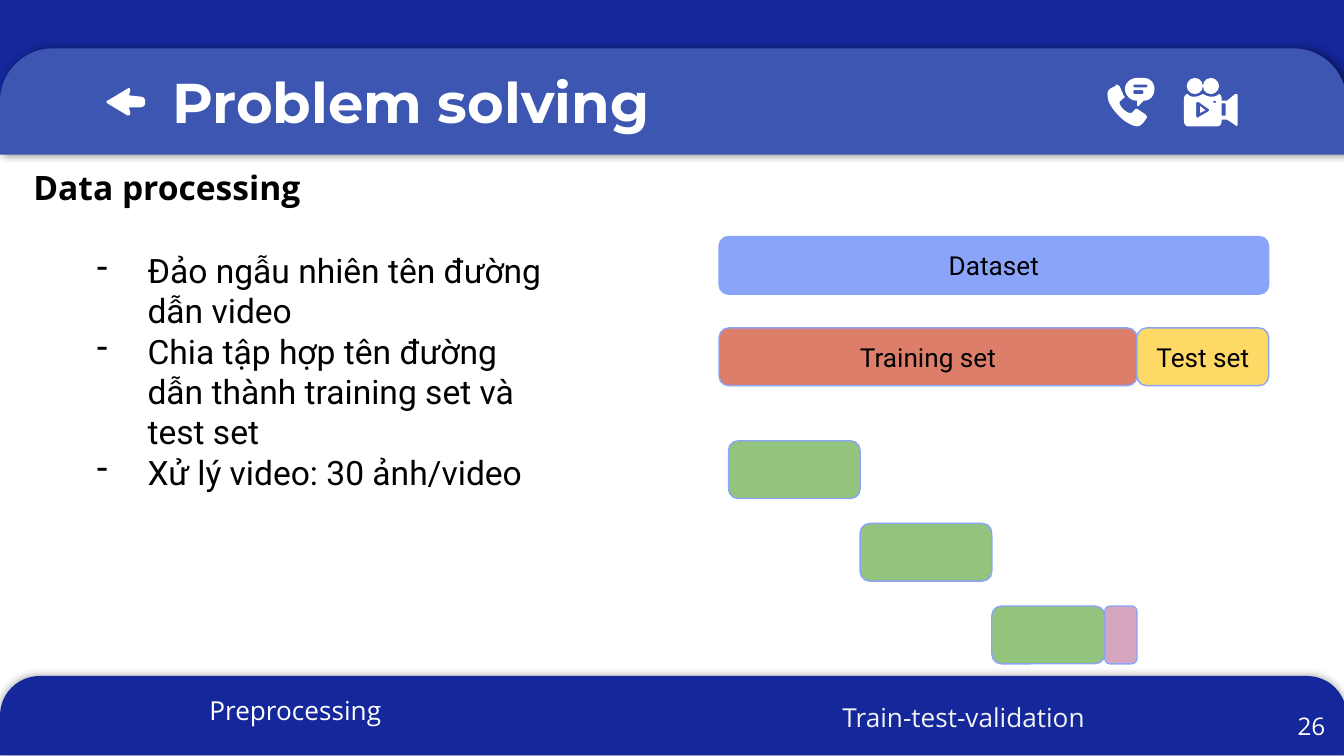
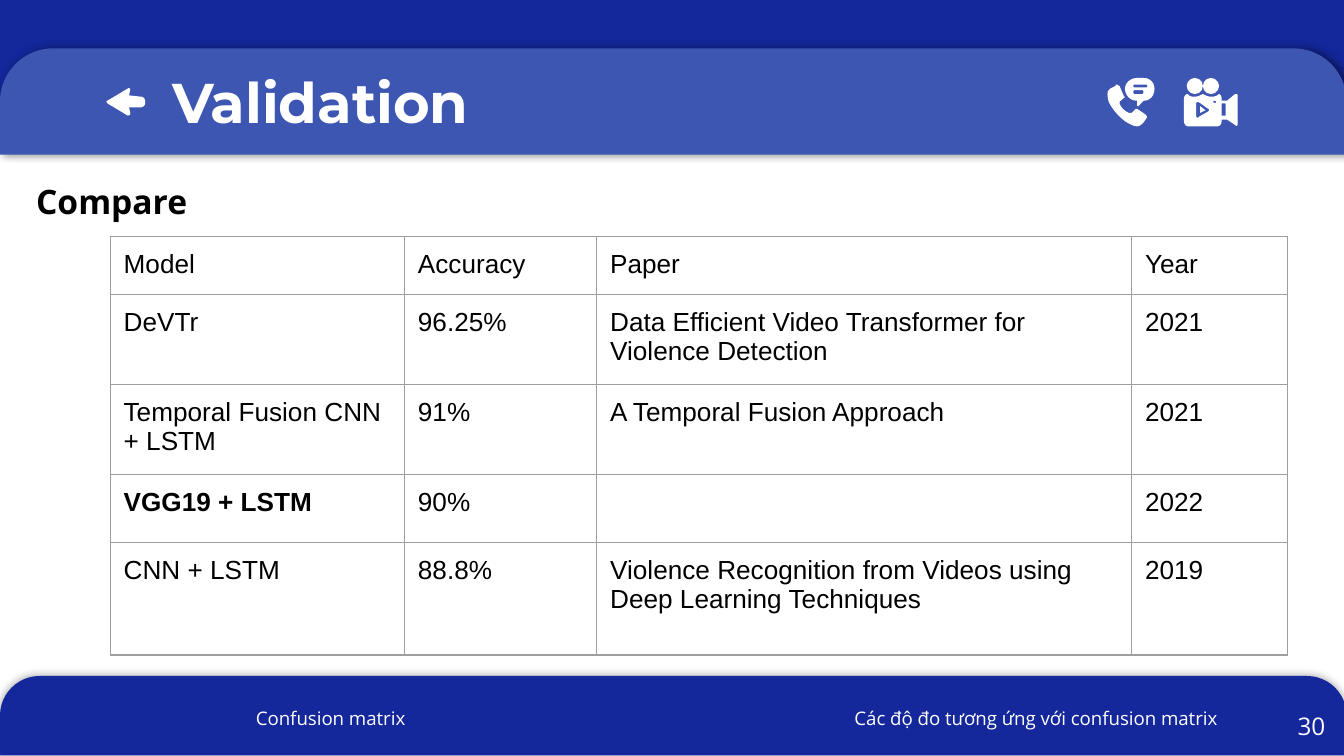
"""Build two slides on data processing and model comparison."""
from dataclasses import dataclass

from lxml import etree
from pptx import Presentation
from pptx.dml.color import RGBColor
from pptx.enum.shapes import MSO_SHAPE
from pptx.enum.text import MSO_ANCHOR, MSO_AUTO_SIZE, PP_ALIGN
from pptx.oxml.ns import qn
from pptx.util import Inches, Pt

RECTANGLE = MSO_SHAPE.RECTANGLE
ROUNDED = MSO_SHAPE.ROUNDED_RECTANGLE
TOP_ROUNDED = MSO_SHAPE.ROUND_2_SAME_RECTANGLE
OVAL = MSO_SHAPE.OVAL
LEFT, CENTER, RIGHT = PP_ALIGN.LEFT, PP_ALIGN.CENTER, PP_ALIGN.RIGHT
TOP, MIDDLE = MSO_ANCHOR.TOP, MSO_ANCHOR.MIDDLE
NO_AUTOFIT = MSO_AUTO_SIZE.NONE
SLIDE_WIDTH = Inches(10)
CELL = SLIDE_WIDTH / 100
INSET = Inches(0.1)
TITLE_ONLY = 5


@dataclass(frozen=True)
class Theme:
    """Colours, fonts and type sizes of the deck."""
    navy: str = "14279B"
    band: str = "3D56B2"
    white: str = "FFFFFF"
    pale: str = "F2F2F2"
    black: str = "000000"
    blue: str = "8AA4F9"
    red: str = "DD7E6B"
    yellow: str = "FFD966"
    green: str = "93C47D"
    pink: str = "D5A6BD"
    grid: str = "9E9E9E"
    title_font: str = "Montserrat"
    heading_font: str = "Open Sans"
    body_font: str = "Roboto"
    table_font: str = "Arial"
    title_size: int = 30
    body_size: int = 18
    label_size: int = 14
    number_size: int = 13
    small_size: int = 10


THEME = Theme()

ARROW = [[(80, 75), (79, 75, 79, 76, 80, 77), (95, 86), (96, 86, 97, 86, 97, 84),
          (96, 80), (104, 80), (106, 80, 108, 79, 108, 77), (108, 75),
          (108, 73, 106, 72, 105, 72), (96, 71), (97, 67), (97, 66, 96, 65, 95, 66)]]
HANDSET = [[(831, 63), (830, 63, 830, 63, 830, 64), (826, 66), (823, 68, 824, 72, 825, 76),
            (828, 82, 834, 89, 840, 92), (842, 93, 844, 94, 846, 94),
            (848, 94, 849, 93, 851, 91), (853, 88), (854, 87, 853, 86, 852, 85),
            (846, 81), (845, 81, 845, 81, 844, 82), (842, 84), (841, 84, 840, 84, 840, 84),
            (837, 83, 834, 80, 833, 77), (833, 76, 833, 75, 834, 75), (836, 73),
            (837, 73, 837, 72, 836, 71), (833, 64), (832, 64, 832, 63, 831, 63)]]
BUBBLE = [[(846, 58), (841, 58, 837, 62, 837, 66), (837, 71, 841, 75, 846, 75), (846, 78),
           (846, 79, 847, 79, 847, 79), (851, 75), (856, 75, 859, 71, 859, 66),
           (859, 62, 856, 58, 851, 58)],
          [(844, 63), (853, 63), (854, 63, 854, 65, 853, 65), (844, 65),
           (843, 65, 843, 63, 844, 63)],
          [(844, 67), (850, 67), (851, 67, 851, 70, 850, 70), (844, 70),
           (843, 70, 843, 67, 844, 67)]]
CAMERA = [[(920, 70), (919, 70), (913, 75), (909, 75), (909, 73), (909, 72, 908, 70, 907, 70),
           (905, 72, 903, 72, 901, 72), (899, 72, 897, 71, 895, 70),
           (893, 71, 891, 72, 889, 72), (887, 72, 885, 72, 884, 70),
           (882, 70, 881, 72, 881, 73), (881, 90), (881, 92, 882, 94, 884, 94), (906, 94),
           (908, 94, 909, 92, 909, 90), (909, 89), (913, 89), (919, 93),
           (920, 94, 921, 94, 921, 92), (921, 71), (921, 70, 920, 70, 920, 70)],
          [(903, 75), (904, 75, 905, 75, 905, 76), (905, 77, 902, 77, 903, 75)],
          [(909, 77), (912, 77), (912, 86), (909, 86)],
          [(892, 76), (899, 81), (900, 81, 900, 82, 899, 83), (892, 87),
           (892, 88, 890, 88, 890, 86), (890, 77), (890, 76, 891, 76, 892, 76)]]
PLAY = [[(893, 79), (893, 84), (897, 82)]]


def place(*cells):
    """Turn grid cells into slide lengths."""
    return [round(cell * CELL) for cell in cells]


def write_text(frame, text, *, font, size, color, bold=False, align=LEFT, anchor=TOP,
               bullet=None):
    """Fill a text frame, one paragraph for each line of the text."""
    frame.word_wrap = True
    frame.auto_size = NO_AUTOFIT
    frame.vertical_anchor = anchor
    frame.margin_left = frame.margin_right = INSET
    frame.margin_top = frame.margin_bottom = INSET
    for index, line in enumerate(text.split("\n")):
        para = frame.add_paragraph() if index else frame.paragraphs[0]
        para.alignment = align
        if bullet:
            add_bullet(para, bullet, color)
        span = para.add_run()
        span.text = line
        style_font(span.font, font, size, color, bold)


def style_font(style, font, size, color, bold):
    """Set the typeface, size, colour and weight of a font."""
    style.name, style.size, style.bold = font, Pt(size), bold
    style.color.rgb = RGBColor.from_string(color)


def add_bullet(para, mark, color):
    """Give a paragraph a hanging bullet."""
    settings = para._p.get_or_add_pPr()
    settings.set("marL", str(Inches(0.5)))
    settings.set("indent", str(-Inches(0.38)))
    tint = etree.SubElement(settings, qn("a:buClr"))
    etree.SubElement(tint, qn("a:srgbClr"), val=color)
    etree.SubElement(settings, qn("a:buChar"), char=mark)


def add_text(page, area, text, **style):
    """Add a text box on the grid."""
    box = page.shapes.add_textbox(*place(*area))
    write_text(box.text_frame, text, **style)


def paint(shape, fill, line=None):
    """Give a shape a flat fill and an optional outline."""
    shape.shadow.inherit = False
    shape.fill.solid()
    shape.fill.fore_color.rgb = RGBColor.from_string(fill)
    if line:
        shape.line.color.rgb = RGBColor.from_string(line)
        shape.line.width = Pt(0.75)
    else:
        shape.line.fill.background()
    return shape


def add_shape(page, kind, area, fill, line=None):
    """Add a painted preset shape on the grid."""
    return paint(page.shapes.add_shape(kind, *place(*area)), fill, line)


def add_band(page, area, fill, opacity, angle):
    """Add a round-topped band with a soft shadow."""
    band = add_shape(page, TOP_ROUNDED, area, fill)
    band.adjustments[0] = 0.5
    effects = band.element.spPr.find(qn("a:effectLst"))
    shadow = etree.SubElement(effects, qn("a:outerShdw"), blurRad=str(Pt(4.5)),
                              dist=str(Pt(1.5)), dir=str(angle * 60000),
                              algn="bl", rotWithShape="0")
    tint = etree.SubElement(shadow, qn("a:srgbClr"), val=THEME.black)
    etree.SubElement(tint, qn("a:alpha"), val=str(opacity * 1000))
    return band


def trace(contour, steps=6):
    """Flatten lines and curves, given in tenths of a cell, into points."""
    points = [contour[0]]
    for part in contour[1:]:
        if len(part) == 2:
            points.append(part)
            continue
        knots = [points[-1], part[:2], part[2:4], part[4:]]
        for step in range(1, steps + 1):
            t = step / steps
            weights = ((1 - t) ** 3, 3 * t * (1 - t) ** 2, 3 * t * t * (1 - t), t ** 3)
            points.append(tuple(sum(weight * knot[axis] for weight, knot in zip(weights, knots))
                                for axis in (0, 1)))
    return [place(x / 10, y / 10) for x, y in points]


def add_outline(page, contours, fill):
    """Add a free outline; contours after the first are holes."""
    first, *holes = [trace(contour) for contour in contours]
    builder = page.shapes.build_freeform(*first[0])
    builder.add_line_segments(first[1:])
    for hole in holes:
        builder.move_to(*hole[0])
        builder.add_line_segments(hole[1:])
    return paint(builder.convert_to_shape(), fill)


def dress_layout(layout, page):
    """Draw the bands and icons once and move them to the layout."""
    pieces = [add_band(page, (0, 50.3, 100.2, 5.9), THEME.navy, 31, 237),
              add_shape(page, RECTANGLE, (0, -0.1, 100.2, 10.2), THEME.navy),
              add_band(page, (0, 3.6, 100.2, 7.9), THEME.band, 49, 0)]
    pieces += [add_outline(page, icon, THEME.white)
               for icon in (ARROW, HANDSET, BUBBLE, CAMERA, PLAY)]
    pieces += [add_shape(page, OVAL, (left, 5.8, 1.2, 1.2), THEME.white)
               for left in (88.3, 89.5)]
    for index, piece in enumerate(pieces):
        piece.element.nvSpPr.cNvPr.set("id", str(100 + index))
        layout.shapes.element.insert(2 + index, piece.element)


def add_page(deck, title, number):
    """Add a page with its title and number."""
    page = deck.slides.add_slide(deck.slide_layouts[TITLE_ONLY])
    box = page.shapes.title
    box.left, box.top, box.width, box.height = place(11.8, 4, 80.3, 6.3)
    write_text(box.text_frame, title, font=THEME.title_font, size=THEME.title_size,
               color=THEME.white, bold=True)
    add_text(page, (93.6, 51.9, 6, 4.3), number, font=THEME.heading_font,
             size=THEME.number_size, color=THEME.white, align=RIGHT)
    return page


def add_heading(page, area, text):
    """Add the bold heading under the title band."""
    add_text(page, area, text, font=THEME.heading_font, size=THEME.body_size,
             color=THEME.black, bold=True)


def add_footer(page, area, text, size, color=THEME.white, align=LEFT):
    """Add a label on the bottom band."""
    add_text(page, area, text, font=THEME.heading_font, size=size, color=color, align=align)


def add_block(page, left, top, width, fill, label=None):
    """Add one part of the dataset diagram."""
    block = add_shape(page, ROUNDED, (left, top, width, 4.3), fill, THEME.blue)
    if label:
        write_text(block.text_frame, label, font=THEME.body_font, size=THEME.label_size,
                   color=THEME.black, align=CENTER, anchor=MIDDLE)


def border_cell(cell):
    """Draw a thin line on each side of a table cell."""
    settings = cell._tc.get_or_add_tcPr()
    for side in ("lnL", "lnR", "lnT", "lnB"):
        line = etree.SubElement(settings, qn(f"a:{side}"), w=str(Pt(0.75)))
        fill = etree.SubElement(line, qn("a:solidFill"))
        etree.SubElement(fill, qn("a:srgbClr"), val=THEME.grid)


def add_grid(page, left, top, widths, heights, rows, strong):
    """Add a bordered table with one text set in bold."""
    area = place(left, top, sum(widths), sum(heights))
    table = page.shapes.add_table(len(rows), len(widths), *area).table
    table.first_row = table.horz_banding = False
    for column, width in zip(table.columns, place(*widths)):
        column.width = width
    for row, height, texts in zip(table.rows, place(*heights), rows):
        row.height = height
        for cell, text in zip(row.cells, texts):
            cell.margin_left = cell.margin_right = INSET
            cell.margin_top = cell.margin_bottom = INSET
            border_cell(cell)
            cell.fill.background()
            if text:
                cell.text = text
                style_font(cell.text_frame.paragraphs[0].runs[0].font, THEME.table_font,
                           THEME.label_size, THEME.black, text == strong)


def fill_processing(page):
    """Fill the page on splitting the dataset."""
    add_heading(page, (1.5, 11.4, 32.3, 5), "Data processing")
    add_footer(page, (14.6, 50.7, 21, 4.4), "Preprocessing", THEME.label_size)
    add_footer(page, (61.7, 51.2, 26.6, 4.4), "Train-test-validation", THEME.label_size,
               THEME.pale)
    fold = 9.8
    add_block(page, 53.5, 17.6, 40.9, THEME.blue, "Dataset")
    add_block(page, 53.5, 24.4, 31.1, THEME.red, "Training set")
    add_block(page, 84.6, 24.4, fold, THEME.yellow, "Test set")
    for index, width in enumerate((fold, fold, 8.4)):
        add_block(page, 54.2 + index * fold, 32.8 + index * 6.15, width, THEME.green)
    add_block(page, 82.2, 45.1, 2.4, THEME.pink)
    add_text(page, (5, 17.6, 37.6, 20.2),
             "Đảo ngẫu nhiên tên đường dẫn video\n"
             "Chia tập hợp tên đường dẫn thành training set và test set\n"
             "Xử lý video: 30 ảnh/video",
             font=THEME.body_font, size=THEME.body_size, color=THEME.black, bullet="-")


def fill_comparison(page):
    """Fill the page that compares the models."""
    add_heading(page, (1.7, 12.5, 27.9, 5), "Compare")
    add_footer(page, (62.6, 51.6, 37.6, 3.7), "Các độ đo tương ứng với confusion matrix",
               THEME.small_size)
    add_footer(page, (5.8, 51.6, 37.6, 3.7), "Confusion matrix", THEME.small_size, align=CENTER)
    rows = [("Model", "Accuracy", "Paper", "Year"),
            ("DeVTr", "96.25%", "Data Efficient Video Transformer for Violence Detection", "2021"),
            ("Temporal Fusion CNN + LSTM", "91%", "A Temporal Fusion Approach", "2021"),
            ("VGG19 + LSTM", "90%", "", "2022"),
            ("CNN + LSTM", "88.8%",
             "Violence Recognition from Videos using Deep Learning Techniques", "2019")]
    add_grid(page, 8.2, 17.6, (21.9, 14.3, 39.8, 11.6), (4.3, 6.7, 6.7, 5, 8.4), rows,
             strong="VGG19 + LSTM")


def main():
    """Build and save the deck."""
    deck = Presentation()
    deck.slide_width, deck.slide_height = SLIDE_WIDTH, SLIDE_WIDTH * 9 // 16
    processing = add_page(deck, "Problem solving", "26")
    dress_layout(deck.slide_layouts[TITLE_ONLY], processing)
    fill_processing(processing)
    fill_comparison(add_page(deck, "Validation", "30"))
    deck.save("out.pptx")


if __name__ == "__main__":
    main()
